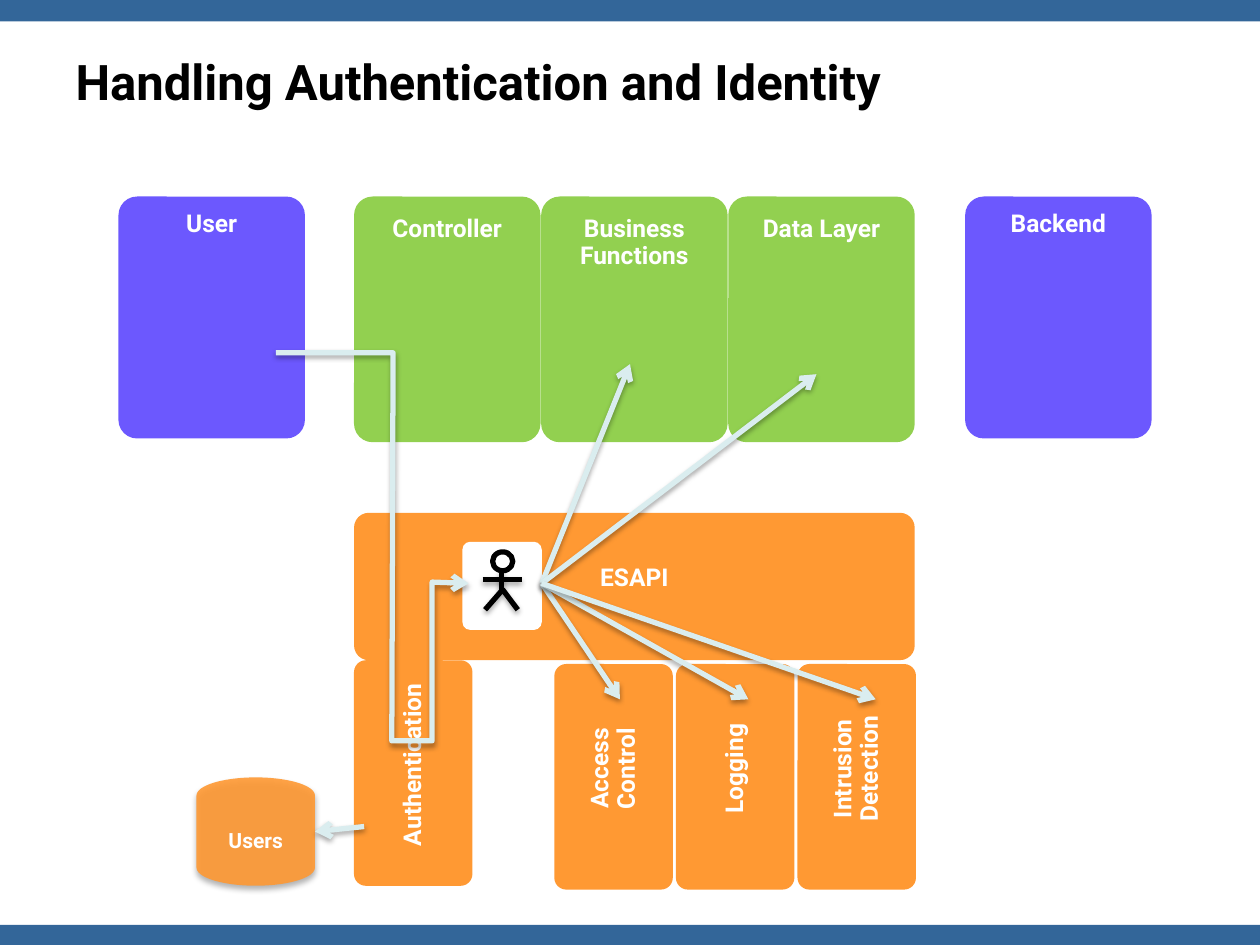
from dataclasses import dataclass

from pptx import Presentation
from pptx.dml.color import RGBColor
from pptx.enum.shapes import MSO_CONNECTOR as Line, MSO_SHAPE as Shape
from pptx.enum.text import MSO_ANCHOR as Anchor, PP_ALIGN as Align
from pptx.oxml import parse_xml
from pptx.oxml.ns import nsdecls
from pptx.util import Inches, Pt

BLUE = RGBColor(0x33, 0x66, 0x99)
PURPLE = RGBColor(0x6C, 0x58, 0xFE)
GREEN = RGBColor(0x92, 0xD0, 0x50)
ORANGE = RGBColor(0xFF, 0x99, 0x33)
PALE = RGBColor(0xDA, 0xED, 0xEF)
WHITE = RGBColor(0xFF, 0xFF, 0xFF)
BLACK = RGBColor(0, 0, 0)
FONT = "Roboto"
LABEL_INSET = Inches(0.1)


@dataclass
class Card:
    """A rounded block with its label in a separate text box."""
    text: str
    x: float
    y: float
    w: float
    h: float
    fill: RGBColor
    label_dy: float = -0.01
    anchor: Anchor = Anchor.MIDDLE
    vertical: bool = False


def write(tf, text: str, size: int, color: RGBColor = WHITE, align: Align = Align.CENTER):
    """Put one bold paragraph into a text frame."""
    tf.word_wrap = True
    p = tf.paragraphs[0]
    p.text = text
    p.alignment = align
    p.font.name, p.font.size, p.font.bold = FONT, Pt(size), True
    p.font.color.rgb = color
    return p


def add_block(shapes, kind: Shape, x: float, y: float, w: float, h: float, fill: RGBColor):
    """Add a flat filled shape without outline."""
    s = shapes.add_shape(kind, Inches(x), Inches(y), Inches(w), Inches(h))
    s.fill.solid()
    s.fill.fore_color.rgb = fill
    s.line.fill.background()
    s.shadow.inherit = False
    if kind == Shape.ROUNDED_RECTANGLE:
        s.adjustments[0] = 0.1
    return s


def add_shadow(s, blur: float = 3.1, dist: float = 1.8, alpha: int = 35) -> None:
    """Give a shape a soft shadow straight below it."""
    sp_pr = s._element.spPr
    for old in sp_pr.findall("{*}effectLst"):
        sp_pr.remove(old)
    sp_pr.append(parse_xml(
        f'<a:effectLst {nsdecls("a")}><a:outerShdw blurRad="{Pt(blur)}" dist="{Pt(dist)}" '
        f'dir="5400000" rotWithShape="0"><a:srgbClr val="000000">'
        f'<a:alpha val="{alpha * 1000}"/></a:srgbClr></a:outerShdw></a:effectLst>'))


def style_stroke(s, color: RGBColor, arrow: bool) -> None:
    """Set a thick shadowed line, with an arrowhead if wanted."""
    s.line.color.rgb = color
    s.line.width = Pt(3)
    if arrow:
        s.line._get_or_add_ln().append(
            parse_xml(f'<a:tailEnd {nsdecls("a")} type="arrow"/>'))
    add_shadow(s)


def add_line(shapes, start: tuple, end: tuple, color: RGBColor, arrow: bool) -> None:
    """Draw a straight line."""
    ends = [Inches(v) for v in (*start, *end)]
    style_stroke(shapes.add_connector(Line.STRAIGHT, *ends), color, arrow)


def add_path(shapes, points: list, color: RGBColor, arrow: bool) -> None:
    """Draw an open polyline."""
    pts = [(Inches(x), Inches(y)) for x, y in points]
    builder = shapes.build_freeform(*pts[0])
    builder.add_line_segments(pts[1:], close=False)
    s = builder.convert_to_shape()
    s.fill.background()
    style_stroke(s, color, arrow)


def add_card(shapes, c: Card) -> None:
    """Draw a card and its label as one group."""
    group = shapes.add_group_shape().shapes
    add_block(group, Shape.ROUNDED_RECTANGLE, c.x, c.y, c.w, c.h, c.fill)
    box = group.add_textbox(Inches(c.x), Inches(c.y + c.label_dy),
                            Inches(c.w), Inches(c.h - 0.11))
    tf = box.text_frame
    tf.margin_left = tf.margin_right = tf.margin_top = tf.margin_bottom = LABEL_INSET
    tf.vertical_anchor = c.anchor
    write(tf, c.text, 14).line_spacing = 0.9
    if c.vertical:
        tf._txBody.bodyPr.set("vert", "vert270")


def add_person(shapes) -> None:
    """Draw the stick figure on its white tile."""
    group = shapes.add_group_shape().shapes
    add_block(group, Shape.ROUNDED_RECTANGLE, 3.67, 4.3, 0.63, 0.7, WHITE)
    head = add_block(group, Shape.OVAL, 3.91, 4.38, 0.16, 0.15, WHITE)
    head.fill.background()
    head.line.color.rgb = BLACK
    head.line.width = Pt(3)
    add_line(group, (3.98, 4.53), (3.98, 4.68), BLACK, False)
    add_path(group, [(3.85, 4.84), (3.99, 4.68), (4.11, 4.84)], BLACK, False)
    add_line(group, (3.83, 4.6), (4.14, 4.6), BLACK, False)


prs = Presentation()
prs.slide_width, prs.slide_height = Inches(10), Inches(7.5)
slide = prs.slides.add_slide(prs.slide_layouts[5])
shapes = slide.shapes

title = shapes.title
title.left, title.top, title.width, title.height = map(Inches, (0.5, 0.21, 9, 0.87))
title.text_frame.vertical_anchor = Anchor.MIDDLE
write(title.text_frame, "Handling Authentication and Identity", 28, BLACK, Align.LEFT)

for bar_y in (0, 7.34):
    add_block(shapes, Shape.RECTANGLE, 0, bar_y, 10, 0.17, BLUE)

for text, x in (("User", 0.94), ("Backend", 7.66)):
    s = add_block(shapes, Shape.ROUNDED_RECTANGLE, x, 1.56, 1.48, 1.92, PURPLE)
    s.text_frame.vertical_anchor = Anchor.TOP
    write(s.text_frame, text, 14)

layers = [Card(text, 2.81 + 1.485 * i, 1.56, 1.48, 1.95, GREEN, 0.06, Anchor.TOP)
          for i, text in enumerate(("Controller", "Business Functions", "Data Layer"))]
api = Card("ESAPI", 2.81, 4.07, 4.45, 1.17, ORANGE)
modules = [Card(text, 4.4 + 0.965 * i, 5.27, 0.94, 1.79, ORANGE, vertical=True)
           for i, text in enumerate(("Access\vControl", "Logging", "Intrusion\vDetection"))]
authentication = Card("Authentication", 2.81, 5.24, 0.94, 1.79, ORANGE, vertical=True)

for card in (*layers, api):
    add_card(shapes, card)
add_person(shapes)
for card in (*modules, authentication):
    add_card(shapes, card)

login_route = [(2.19, 2.8), (3.12, 2.8), (3.11, 5.88), (3.43, 5.88), (3.43, 4.62), (3.72, 4.63)]
add_path(shapes, login_route, PALE, True)
for target in ((5, 2.89), (6.48, 2.97), (4.92, 5.55), (5.94, 5.55), (6.95, 5.55)):
    add_line(shapes, (4.3, 4.63), target, PALE, True)

users = add_block(shapes, Shape.FLOWCHART_MAGNETIC_DISK, 1.56, 6.17, 0.94, 0.86, ORANGE)
users.fill._xPr.find(".//{*}srgbClr").append(
    parse_xml(f'<a:alpha {nsdecls("a")} val="90000"/>'))
add_shadow(users, 3.5, 2.2, 32)
users.text_frame.vertical_anchor = Anchor.MIDDLE
write(users.text_frame, "Users", 12)
add_line(shapes, (2.89, 6.56), (2.5, 6.6), PALE, True)

prs.save("out.pptx")
